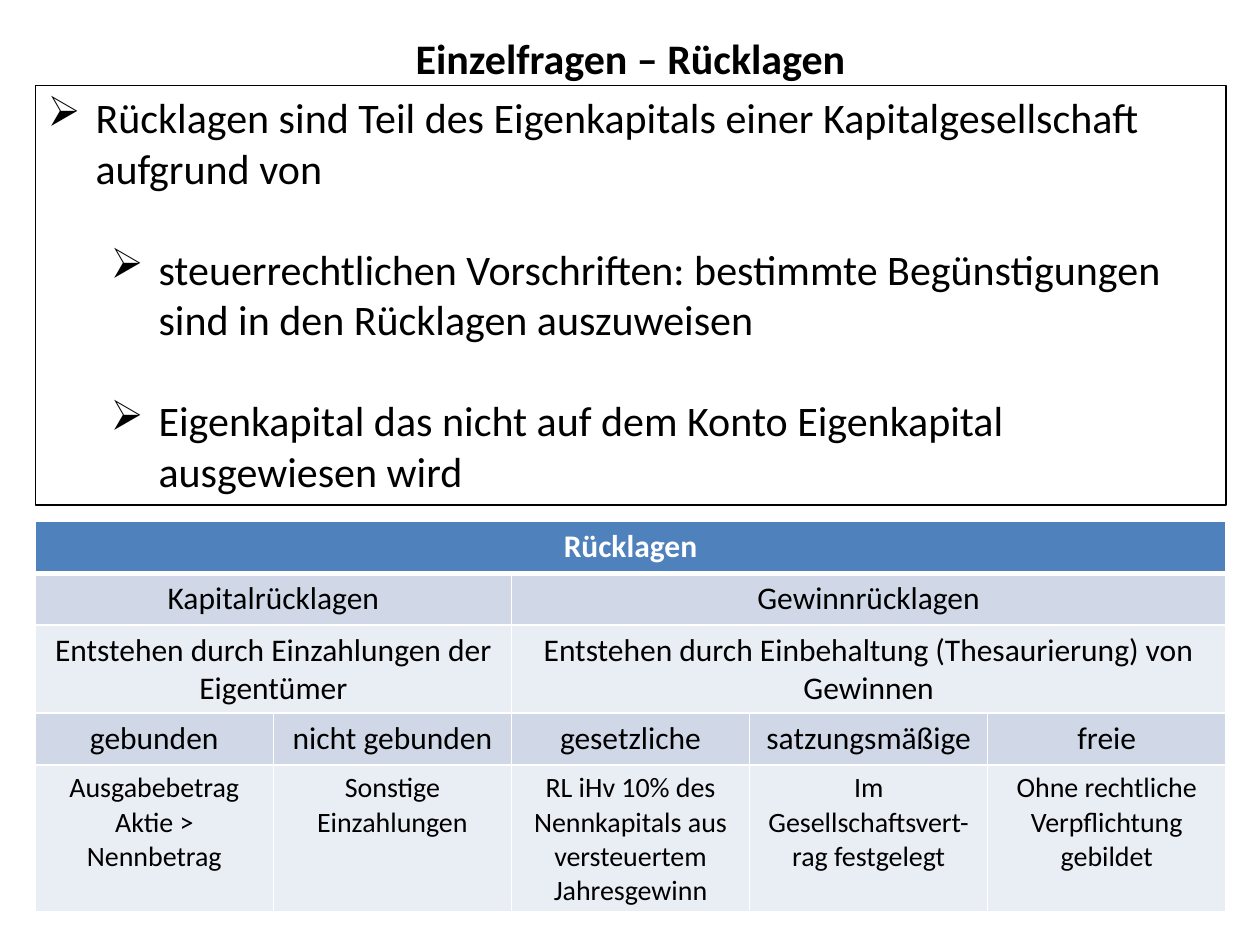
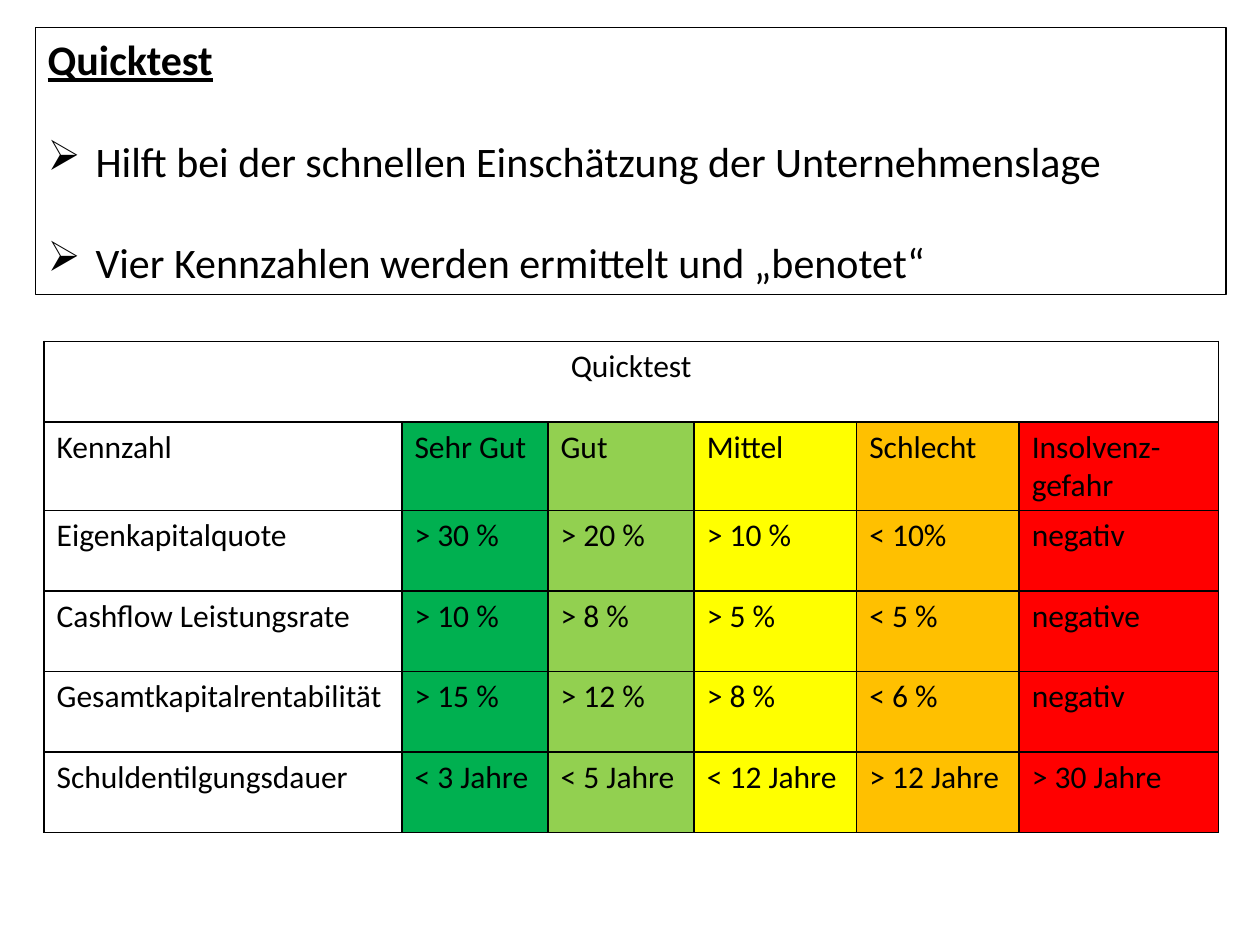
from lxml.etree import SubElement as Sub
from pptx import Presentation
from pptx.dml.color import RGBColor as RGB
from pptx.enum.shapes import MSO_SHAPE as Shape
from pptx.enum.text import MSO_ANCHOR as Anchor, PP_ALIGN as Align
from pptx.oxml.ns import qn
from pptx.util import Inches, Pt

FONT = "Calibri"
BLACK = RGB(0, 0, 0)
WHITE = RGB(255, 255, 255)
BLUE = RGB(0x4F, 0x81, 0xBD)
DARK = RGB(0xD0, 0xD8, 0xE8)
PALE = RGB(0xE9, 0xED, 0xF4)
GREEN = RGB(0x00, 0xB0, 0x50)
LIME = RGB(0x92, 0xD0, 0x50)
YELLOW = RGB(255, 255, 0)
ORANGE = RGB(255, 0xC0, 0)
RED = RGB(255, 0, 0)
GRADES = [None, GREEN, LIME, YELLOW, ORANGE, RED]
LEFT, WIDTH = 0.28, 9.45
PLAIN = "{2D5ABB26-0587-4C30-8999-92F81FD0307C}"

RESERVES = [
    ["Rücklagen", None, None, None, None],
    ["Kapitalrücklagen", None, "Gewinnrücklagen", None, None],
    ["Entstehen durch Einzahlungen der Eigentümer", None,
     "Entstehen durch Einbehaltung (Thesaurierung) von Gewinnen", None, None],
    ["gebunden", "nicht gebunden", "gesetzliche", "satzungsmäßige", "freie"],
    ["Ausgabebetrag Aktie > Nennbetrag", "Sonstige Einzahlungen",
     "RL iHv 10% des Nennkapitals aus versteuertem Jahresgewinn",
     "Im Gesellschaftsvert-rag festgelegt",
     "Ohne rechtliche Verpflichtung gebildet"],
]
RATIOS = [
    ["Quicktest", None, None, None, None, None],
    ["Kennzahl", "Sehr Gut", "Gut", "Mittel", "Schlecht", "Insolvenz-gefahr"],
    ["Eigenkapitalquote", "> 30 %", "> 20 %", "> 10 %", "< 10%", "negativ"],
    ["Cashflow Leistungsrate", "> 10 %", "> 8 %", "> 5 %", "< 5 %", "negative"],
    ["Gesamtkapitalrentabilität", "> 15 %", "> 12 %", "> 8 %", "< 6 %", "negativ"],
    ["Schuldentilgungsdauer", "< 3 Jahre", "< 5 Jahre", "< 12 Jahre",
     "> 12 Jahre", "> 30 Jahre"],
]


def style(para, size, color=BLACK, bold=False, line=False):
    """Set the font of a whole paragraph."""
    font = para.font
    font.name, font.size, font.bold, font.underline = FONT, Pt(size), bold, line
    font.color.rgb = color


def bullet(para, level):
    """Give a paragraph an arrow bullet with a hanging indent."""
    para.level = level
    props = para._p.get_or_add_pPr()
    props.set("marL", str(Inches(0.38 + level / 2)))
    props.set("indent", str(-Inches(0.38)))
    Sub(props, qn("a:buChar")).set("char", "➢")


def title(slide, box, text):
    """Place a centred bold title."""
    frame = slide.shapes.add_textbox(*map(Inches, box)).text_frame
    frame.word_wrap = True
    para = frame.paragraphs[0]
    para.text, para.alignment = text, Align.CENTER
    style(para, 24, bold=True)


def panel(slide, box, items):
    """Place a framed list of (level, text); level None is a heading."""
    rect = slide.shapes.add_shape(Shape.RECTANGLE, *map(Inches, box))
    rect.shadow.inherit = False
    rect.fill.background()
    rect.line.color.rgb, rect.line.width = BLACK, Pt(0.75)
    frame = rect.text_frame
    frame.word_wrap, frame.vertical_anchor = True, Anchor.TOP
    for i, (level, text) in enumerate(items):
        para = frame.add_paragraph() if i else frame.paragraphs[0]
        para.text, para.alignment = text, Align.LEFT
        head = level is None
        if i:
            para.space_before = Pt(29)
        if not head:
            bullet(para, level)
        style(para, 24, bold=head, line=head)


def border(cell, color, widths):
    """Draw the left, right, top and bottom edges of a cell."""
    props = cell._tc.get_or_add_tcPr()
    for side, width in zip("LRTB", widths):
        edge = Sub(props, qn("a:ln" + side), w=str(Pt(width)))
        Sub(Sub(edge, qn("a:solidFill")), qn("a:srgbClr"), val=str(color))


def grid(slide, box, cols, rows, data, edge, look):
    """Place a table; None joins a cell to its left neighbour.

    look(row, col) gives fill, font colour, size, bold, alignment and widths.
    """
    shape = slide.shapes.add_table(len(rows), len(cols), *map(Inches, box))
    table = shape.table
    table.first_row = table.horz_banding = False
    table._tbl.tblPr.find(qn("a:tableStyleId")).text = PLAIN
    for col, width in zip(table.columns, cols):
        col.width = Inches(width)
    for r, (row, high) in enumerate(zip(data, rows)):
        table.rows[r].height = Inches(high)
        for c, text in enumerate(row):
            cell = table.cell(r, c)
            fill, color, size, bold, align, widths = look(r, c)
            border(cell, edge, widths)
            if fill is None:
                cell.fill.background()
            else:
                cell.fill.solid()
                cell.fill.fore_color.rgb = fill
            if text is None:
                continue
            end = c + 1
            while end < len(row) and row[end] is None:
                end += 1
            if end > c + 1:
                cell.merge(table.cell(r, end - 1))
            para = cell.text_frame.paragraphs[0]
            para.text, para.alignment = text, align
            style(para, size, color, bold)


def tier(row, col):
    """Return the look of a cell in the table of reserves."""
    head = row == 0
    fill = BLUE if head else DARK if row % 2 else PALE
    widths = (1, 1, 3 if row == 1 else 1, 3 if head else 1)
    return (fill, WHITE if head else BLACK, 16 if row == 4 else 18, head,
            Align.CENTER, widths)


def grade(row, col):
    """Return the look of a cell in the table of ratios."""
    align = Align.LEFT if row else Align.CENTER
    return GRADES[col] if row else None, BLACK, 18, False, align, (1,) * 4


def reserves(slide):
    """Build the slide on reserves."""
    title(slide, (LEFT, 0.21, WIDTH, 0.5), "Einzelfragen – Rücklagen")
    panel(slide, (LEFT, 0.68, WIDTH, 3.33), [
        (0, "Rücklagen sind Teil des Eigenkapitals einer Kapitalgesellschaft "
            "aufgrund von"),
        (1, "steuerrechtlichen Vorschriften: bestimmte Begünstigungen sind in "
            "den Rücklagen auszuweisen"),
        (1, "Eigenkapital das nicht auf dem Konto Eigenkapital ausgewiesen wird"),
    ])
    rows = [0.41, 0.41, 0.7, 0.41, 1.16]
    grid(slide, (LEFT, 4.14, WIDTH, sum(rows)), [WIDTH / 5] * 5, rows,
         RESERVES, WHITE, tier)


def quick(slide):
    """Build the slide on the quick test."""
    panel(slide, (LEFT, 0.22, WIDTH, 2.12), [
        (None, "Quicktest"),
        (0, "Hilft bei der schnellen Einschätzung der Unternehmenslage"),
        (0, "Vier Kennzahlen werden ermittelt und „benotet“"),
    ])
    cols = [2.84, 1.16, 1.16, 1.29, 1.29, 1.58]
    rows = [0.64, 0.7] + [0.64] * 4
    grid(slide, (0.35, 2.71, sum(cols), sum(rows)), cols, rows,
         RATIOS, BLACK, grade)


def main():
    """Build and save the presentation."""
    deck = Presentation()
    deck.slide_width, deck.slide_height = Inches(10), Inches(7.5)
    for build in (reserves, quick):
        build(deck.slides.add_slide(deck.slide_layouts[6]))
    deck.save("out.pptx")


main()
